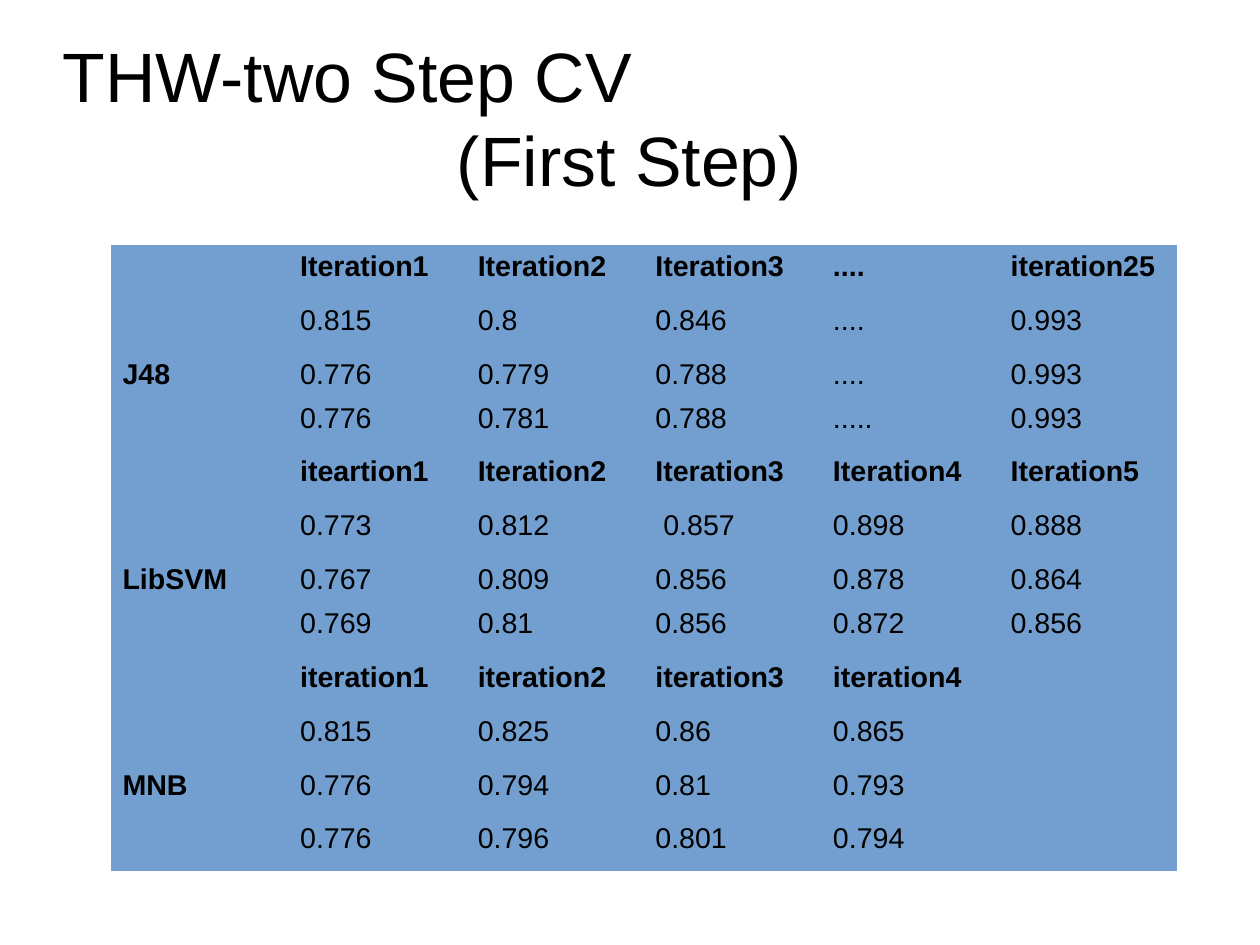
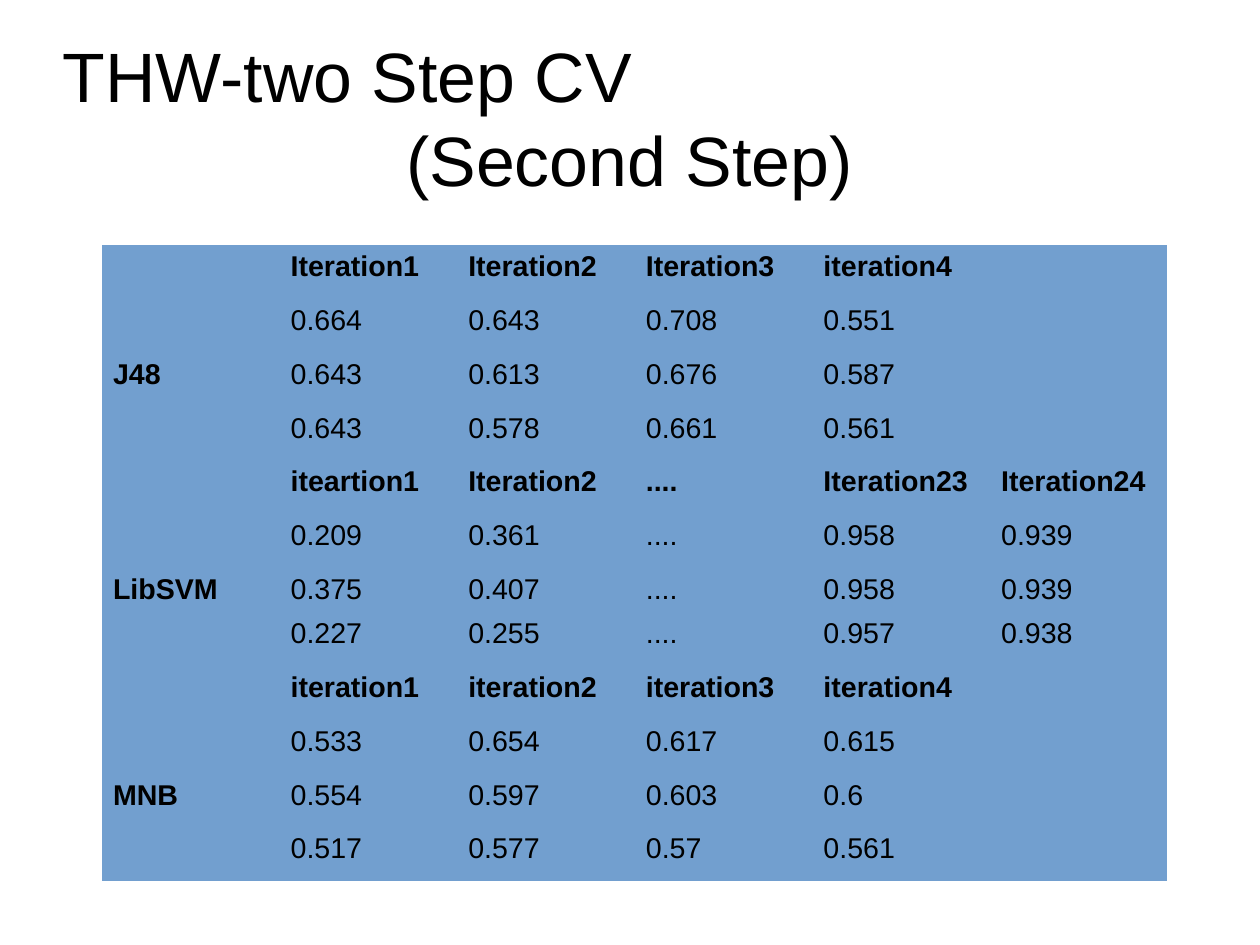
from pptx import Presentation
from pptx.dml.color import RGBColor
from pptx.enum.text import MSO_ANCHOR, MSO_AUTO_SIZE, PP_ALIGN
from pptx.oxml.ns import qn
from pptx.util import Pt

BLACK = RGBColor(0x00, 0x00, 0x00)
TABLE_BLUE = RGBColor(0x72, 0x9F, 0xCF)
FONT = "Arial"
PLAIN_TABLE_STYLE = "{2D5ABB26-0587-4C30-8999-92F81FD0307C}"

PAGE_WIDTH, PAGE_HEIGHT = 793.7, 595.28
TITLE_BOX = (39.6, 23.5, 714.3, 99.4)
TABLE_TOP, TABLE_WIDTH = 154.25, 671.4
ROW_HEIGHT, TIGHT_ROW_HEIGHT = 33.95, 27.6
CLASSIFIERS = ("J48", "LibSVM", "MNB")
BLOCK_ROWS = 4      # one heading row and three result rows per classifier
LABEL_ROW = 2       # row of a block that names the classifier

FIRST_STEP = [
    ["Iteration1", "Iteration2", "Iteration3", "....", "iteration25"],
    ["0.815", "0.8", "0.846", "....", "0.993"],
    ["0.776", "0.779", "0.788", "....", "0.993"],
    ["0.776", "0.781", "0.788", ".....", "0.993"],
    ["iteartion1", "Iteration2", "Iteration3", "Iteration4", "Iteration5"],
    ["0.773", "0.812", " 0.857", "0.898", "0.888"],
    ["0.767", "0.809", "0.856", "0.878", "0.864"],
    ["0.769", "0.81", "0.856", "0.872", "0.856"],
    ["iteration1", "iteration2", "iteration3", "iteration4", ""],
    ["0.815", "0.825", "0.86", "0.865", ""],
    ["0.776", "0.794", "0.81", "0.793", ""],
    ["0.776", "0.796", "0.801", "0.794", ""],
]
SECOND_STEP = [
    ["Iteration1", "Iteration2", "Iteration3", "iteration4", ""],
    ["0.664", "0.643", "0.708", "0.551", ""],
    ["0.643", "0.613", "0.676", "0.587", ""],
    ["0.643", "0.578", "0.661", "0.561", ""],
    ["iteartion1", "Iteration2", "....", "Iteration23", "Iteration24"],
    ["0.209", "0.361", "....", "0.958", "0.939"],
    ["0.375", "0.407", "....", "0.958", "0.939"],
    ["0.227", "0.255", "....", "0.957", "0.938"],
    ["iteration1", "iteration2", "iteration3", "iteration4", ""],
    ["0.533", "0.654", "0.617", "0.615", ""],
    ["0.554", "0.597", "0.603", "0.6", ""],
    ["0.517", "0.577", "0.57", "0.561", ""],
]


def add_span(para, text, size, bold=False):
    span = para.add_run()
    span.text = text
    span.font.name = FONT
    span.font.size = Pt(size)
    span.font.bold = bold
    span.font.color.rgb = BLACK


def fill_title(title, step, box):
    title.left, title.top, title.width, title.height = map(Pt, box)
    frame = title.text_frame
    frame.auto_size = MSO_AUTO_SIZE.NONE
    frame.word_wrap = True
    frame.vertical_anchor = MSO_ANCHOR.MIDDLE
    frame.margin_left = frame.margin_right = 0
    frame.margin_top = frame.margin_bottom = 0
    first, second = frame.paragraphs[0], frame.add_paragraph()
    first.alignment = PP_ALIGN.LEFT
    second.alignment = PP_ALIGN.CENTER
    add_span(first, "THW-two Step CV", 44)
    add_span(second, f"({step} Step)", 44)


def fill_cell(cell, text, bold):
    cell.fill.solid()
    cell.fill.fore_color.rgb = TABLE_BLUE
    cell.margin_bottom = 0
    if text:
        add_span(cell.text_frame.paragraphs[0], text, 18, bold)


def add_results(page, results, tight_rows, left, top, width):
    """Add the table of results; tight_rows are the lower rows' indexes."""
    heights = [TIGHT_ROW_HEIGHT if index in tight_rows else ROW_HEIGHT
               for index in range(len(results))]
    columns = len(results[0]) + 1
    holder = page.shapes.add_table(len(results), columns, Pt(left), Pt(top),
                                   Pt(width), Pt(sum(heights)))
    table = holder.table
    table.first_row = table.horz_banding = False
    next(holder.element.iter(qn("a:tableStyleId"))).text = PLAIN_TABLE_STYLE
    for column in table.columns:
        column.width = Pt(width / columns)
    for index, values in enumerate(results):
        table.rows[index].height = Pt(heights[index])
        block, position = divmod(index, BLOCK_ROWS)
        label = CLASSIFIERS[block] if position == LABEL_ROW else ""
        for column, text in enumerate([label, *values]):
            bold = column == 0 or position == 0
            fill_cell(table.cell(index, column), text, bold)


def add_step_page(deck, step, results, tight_rows, table_left):
    page = deck.slides.add_slide(deck.slide_layouts[5])
    fill_title(page.shapes.title, step, TITLE_BOX)
    add_results(page, results, tight_rows, table_left, TABLE_TOP, TABLE_WIDTH)


def main():
    deck = Presentation()
    deck.slide_width, deck.slide_height = Pt(PAGE_WIDTH), Pt(PAGE_HEIGHT)
    add_step_page(deck, "First", FIRST_STEP, {2, 6}, 70)
    add_step_page(deck, "Second", SECOND_STEP, {6}, 64)
    deck.save("out.pptx")


if __name__ == "__main__":
    main()
